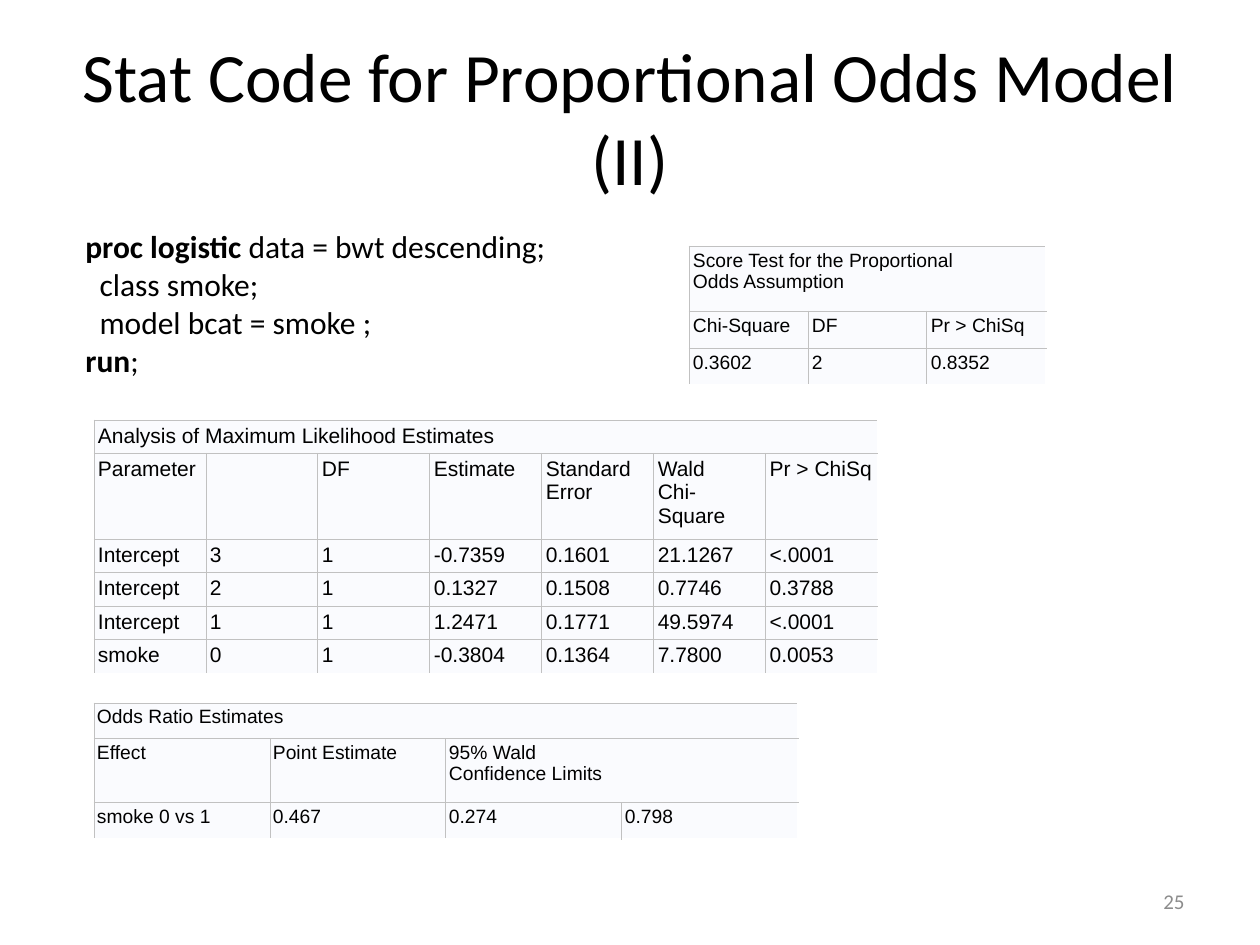
from lxml.etree import SubElement
from pptx import Presentation
from pptx.dml.color import RGBColor
from pptx.enum.text import MSO_ANCHOR as Anchor, MSO_AUTO_SIZE as AutoSize, PP_ALIGN as Align
from pptx.oxml.ns import qn
from pptx.util import Emu, Pt

PX = 914400 // 126
BLACK, GRAY, BORDER, CELL_FILL = "000000", "8C8C8C", "C1C1C1", "FAFBFE"

TITLE = "Stat Code for Proportional Odds Model (II)"
PAGE_NUMBER = "25"

# Each line is a list of (text, bold) pieces
CODE = [
    [("proc logistic", True), (" data = bwt descending;", False)],
    [("  class smoke;", False)],
    [("  model bcat = smoke ;", False)],
    [("run", True), (";", False)],
]

# None continues the cell to its left
TABLES = [
    {
        "at": (94, 420), "column": 112, "heights": [33, 86, 33, 34, 33, 34],
        "size": 12, "inset": 4,
        "rows": [
            ["Analysis of Maximum Likelihood Estimates"] + [None] * 6,
            ["Parameter", "", "DF", "Estimate", "Standard\nError",
             "Wald\nChi-Square", "Pr > ChiSq"],
            ["Intercept", "3", "1", "-0.7359", "0.1601", "21.1267", "<.0001"],
            ["Intercept", "2", "1", "0.1327", "0.1508", "0.7746", "0.3788"],
            ["Intercept", "1", "1", "1.2471", "0.1771", "49.5974", "<.0001"],
            ["smoke", "0", "1", "-0.3804", "0.1364", "7.7800", "0.0053"],
        ],
    },
    {
        "at": (94, 703), "column": 176, "heights": [36, 64, 36],
        "size": 11, "inset": 3,
        "rows": [
            ["Odds Ratio Estimates", None, None, None],
            ["Effect", "Point Estimate", "95% Wald\nConfidence Limits", None],
            ["smoke 0 vs 1", "0.467", "0.274", "0.798"],
        ],
    },
    {
        "at": (689, 246), "column": 119, "heights": [65, 37, 37],
        "size": 11, "inset": 4,
        "rows": [
            ["Score Test for the Proportional\nOdds Assumption", None, None],
            ["Chi-Square", "DF", "Pr > ChiSq"],
            ["0.3602", "2", "0.8352"],
        ],
    },
]


def px(*lengths):
    return [Emu(length * PX) for length in lengths]


def style(run, size, face="Calibri", color=BLACK, bold=False):
    run.font.size, run.font.name, run.font.bold = Pt(size), face, bold
    run.font.color.rgb = RGBColor.from_string(color)


def add_border(cell, side):
    line = SubElement(cell._tc.get_or_add_tcPr(), qn(f"a:ln{side}"), w=str(Pt(0.6)))
    fill = SubElement(line, qn("a:solidFill"))
    SubElement(fill, qn("a:srgbClr"), val=BORDER)


def format_cell(cell, text, size, inset, sides):
    cell.margin_left = cell.margin_right = cell.margin_top = cell.margin_bottom = px(inset)[0]
    for side in sides:
        add_border(cell, side)
    cell.fill.solid()
    cell.fill.fore_color.rgb = RGBColor.from_string(CELL_FILL)
    paragraph = cell.text_frame.paragraphs[0]
    paragraph.text = text or ""
    for run in paragraph.runs:
        style(run, size, "Arial")
    # Keeps empty cells from stretching their row
    paragraph._p.get_or_add_endParaRPr().set("sz", str(size * 100))


def add_estimates(slide, at, column, heights, size, inset, rows):
    """Draw a grid that is open on its right and bottom edges."""
    columns = len(rows[0])
    grid = slide.shapes.add_table(
        len(rows), columns, *px(*at, column * columns, sum(heights))).table
    grid.first_row = grid.horz_banding = False
    for grid_column in grid.columns:
        grid_column.width = px(column)[0]
    for r, (texts, height) in enumerate(zip(rows, heights)):
        grid.rows[r].height = px(height)[0]
        for c, text in enumerate(texts):
            has_right = c + 1 < columns and texts[c + 1] is not None
            sides = (("L" if text is not None else "") + ("R" if has_right else "")
                     + "T" + ("B" if r + 1 < len(rows) else ""))
            format_cell(grid.cell(r, c), text, size, inset, sides)
        starts = [c for c, text in enumerate(texts) if text is not None]
        for start, end in zip(starts, starts[1:] + [columns]):
            if end - start > 1:
                grid.cell(r, start).merge(grid.cell(r, end - 1))


def add_text(slide, box, anchor=Anchor.TOP):
    frame = slide.shapes.add_textbox(*px(*box)).text_frame
    frame.word_wrap, frame.vertical_anchor = True, anchor
    return frame


def main():
    prs = Presentation()
    prs.slide_width, prs.slide_height = px(1260, 945)
    slide = prs.slides.add_slide(prs.slide_layouts[5])

    title = slide.shapes.title
    title.left, title.top, title.width, title.height = px(63, 38, 1134, 157)
    title.text_frame.text = TITLE
    title.text_frame.auto_size = AutoSize.NONE
    title.text_frame.vertical_anchor = Anchor.MIDDLE
    heading = title.text_frame.paragraphs[0]
    heading.alignment = Align.CENTER
    style(heading.runs[0], 39.6)

    page = add_text(slide, (903, 876, 294, 50), Anchor.MIDDLE).paragraphs[0]
    page.text, page.alignment = PAGE_NUMBER, Align.RIGHT
    style(page.runs[0], 12, color=GRAY)

    code = add_text(slide, (73, 221, 494, 165))
    for i, pieces in enumerate(CODE):
        line = code.add_paragraph() if i else code.paragraphs[0]
        for text, bold in pieces:
            run = line.add_run()
            run.text = text
            style(run, 18, bold=bold)

    for estimates in TABLES:
        add_estimates(slide, **estimates)

    prs.save("out.pptx")


if __name__ == "__main__":
    main()
